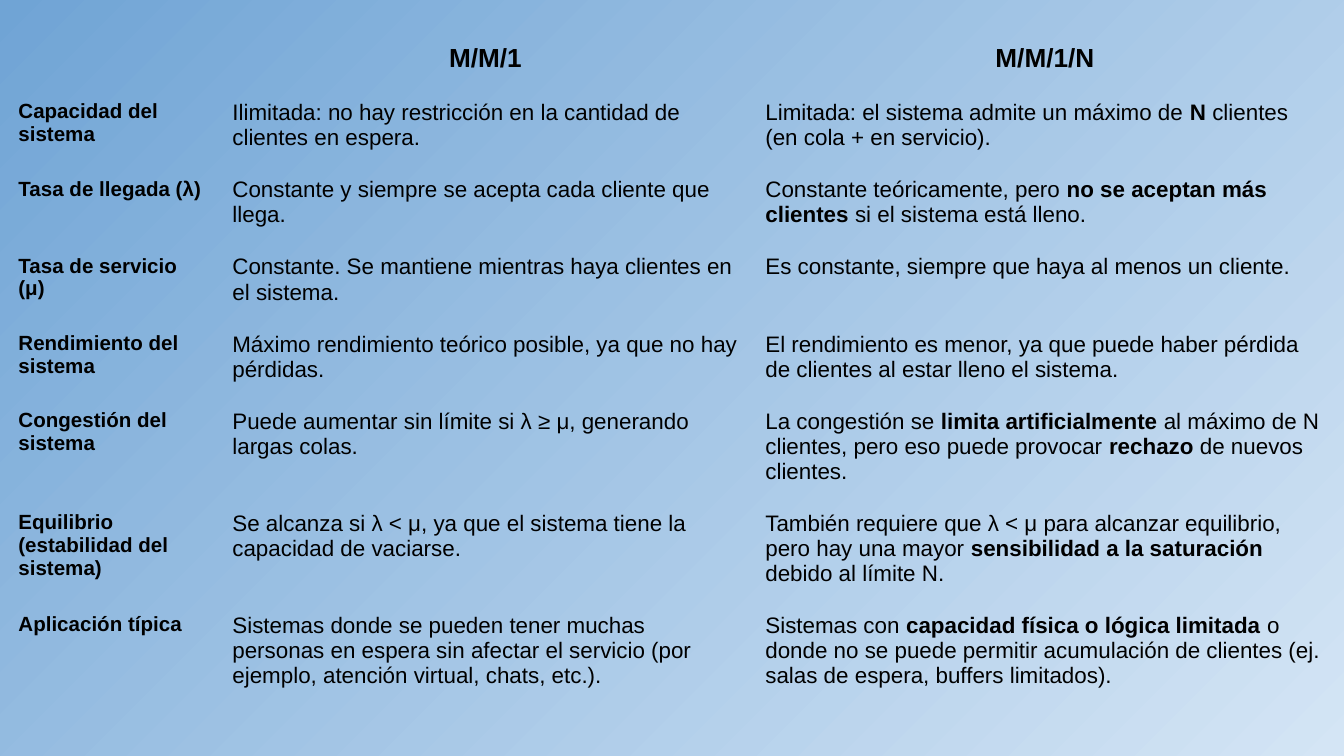
from pptx import Presentation
from pptx import util as u
from pptx.dml.color import RGBColor
from pptx.enum import text
from pptx.oxml import parse_xml
from pptx.oxml.ns import nsdecls, qn

EMU_PER_PX = 914400 / 134.4
BLACK = RGBColor(0x00, 0x00, 0x00)
PALE_BLUE = RGBColor(0xD4, 0xE5, 0xF5)
MID_BLUE = RGBColor(0x70, 0xA4, 0xD5)
NO_GRID_STYLE = "{2D5ABB26-0587-4C30-8999-92F81FD0307C}"

COL_WIDTHS = [214, 533, 586]
ROW_HEIGHTS = [61] + [77] * 4 + [102] * 3

# Text between ** marks is bold.
HEADER = ["", "M/M/1", "M/M/1/N"]
COMPARISON = [
    ("Capacidad del sistema",
     "Ilimitada: no hay restricción en la cantidad de clientes en espera.",
     "Limitada: el sistema admite un máximo de **N** clientes (en cola + en servicio)."),
    ("Tasa de llegada (λ)",
     "Constante y siempre se acepta cada cliente que llega.",
     "Constante teóricamente, pero **no se aceptan más clientes** si el sistema está lleno."),
    ("Tasa de servicio (μ)",
     "Constante. Se mantiene mientras haya clientes en el sistema.",
     "Es constante, siempre que haya al menos un cliente."),
    ("Rendimiento del sistema",
     "Máximo rendimiento teórico posible, ya que no hay pérdidas.",
     "El rendimiento es menor, ya que puede haber pérdida de clientes "
     "al estar lleno el sistema."),
    ("Congestión del sistema",
     "Puede aumentar sin límite si λ ≥ μ, generando largas colas.",
     "La congestión se **limita artificialmente** al máximo de N clientes, "
     "pero eso puede provocar **rechazo** de nuevos clientes."),
    ("Equilibrio (estabilidad del sistema)",
     "Se alcanza si λ < μ, ya que el sistema tiene la capacidad de vaciarse.",
     "También requiere que λ < μ para alcanzar equilibrio, pero hay una mayor "
     "**sensibilidad a la saturación** debido al límite N."),
    ("Aplicación típica",
     "Sistemas donde se pueden tener muchas personas en espera sin afectar el "
     "servicio (por ejemplo, atención virtual, chats, etc.).",
     "Sistemas con **capacidad física o lógica limitada** o donde no se puede "
     "permitir acumulación de clientes (ej. salas de espera, buffers limitados)."),
]


def px(n):
    return u.Emu(round(n * EMU_PER_PX))


def set_background(s):
    """Radial gradient, palest in the bottom right corner."""
    fill = s.background.fill
    fill.gradient()
    for stop, color in zip(fill.gradient_stops, (PALE_BLUE, MID_BLUE)):
        stop.color.rgb = color
    fill.gradient_stops[0].position = 0
    fill.gradient_stops[1].position = 1
    lin = next(s.background._cSld.iter(qn("a:lin")))
    lin.getparent().replace(lin, parse_xml(
        f'<a:path {nsdecls("a")} path="circle">'
        '<a:fillToRect l="100000" t="100000"/></a:path>'))


def add_plain_table(s, x, y):
    frame = s.shapes.add_table(len(ROW_HEIGHTS), len(COL_WIDTHS), px(x), px(y),
                               px(sum(COL_WIDTHS)), px(sum(ROW_HEIGHTS)))
    table = frame.table
    table.first_row = table.horz_banding = False
    next(table._tbl.iter(qn("a:tableStyleId"))).text = NO_GRID_STYLE
    for col, width in zip(table.columns, COL_WIDTHS):
        col.width = px(width)
    for row, height in zip(table.rows, ROW_HEIGHTS):
        row.height = px(height)
    return table


def fill_cell(cell, marked, size, bold=False, header=False):
    """Write text into a cell; parts between ** marks become bold."""
    cell.fill.background()
    cell.margin_left = cell.margin_right = u.Inches(0.1)
    cell.margin_top = cell.margin_bottom = u.Inches(0.1)
    p = cell.text_frame.paragraphs[0]
    p.font.name, p.font.size, p.font.bold = "Arial", u.Pt(size), bold
    p.font.color.rgb = BLACK
    if header:
        p.alignment = text.PP_ALIGN.CENTER
        p.line_spacing = 1.15
    if not marked:
        p._p.get_or_add_endParaRPr().set("sz", str(size * 100))
        return
    for i, part in enumerate(marked.split("**")):
        r = p.add_run()
        r.text = part
        if i % 2:
            r.font.bold = True


def main():
    prs = Presentation()
    prs.slide_width, prs.slide_height = px(1344), px(756)
    s = prs.slides.add_slide(prs.slide_layouts[6])
    set_background(s)
    table = add_plain_table(s, 5, 26)
    for c, heading in enumerate(HEADER):
        fill_cell(table.cell(0, c), heading, 14, bold=True, header=True)
    for r, (aspect, *models) in enumerate(COMPARISON, start=1):
        fill_cell(table.cell(r, 0), aspect, 11, bold=True)
        for c, description in enumerate(models, start=1):
            fill_cell(table.cell(r, c), description, 12)
    prs.save("out.pptx")


if __name__ == "__main__":
    main()
